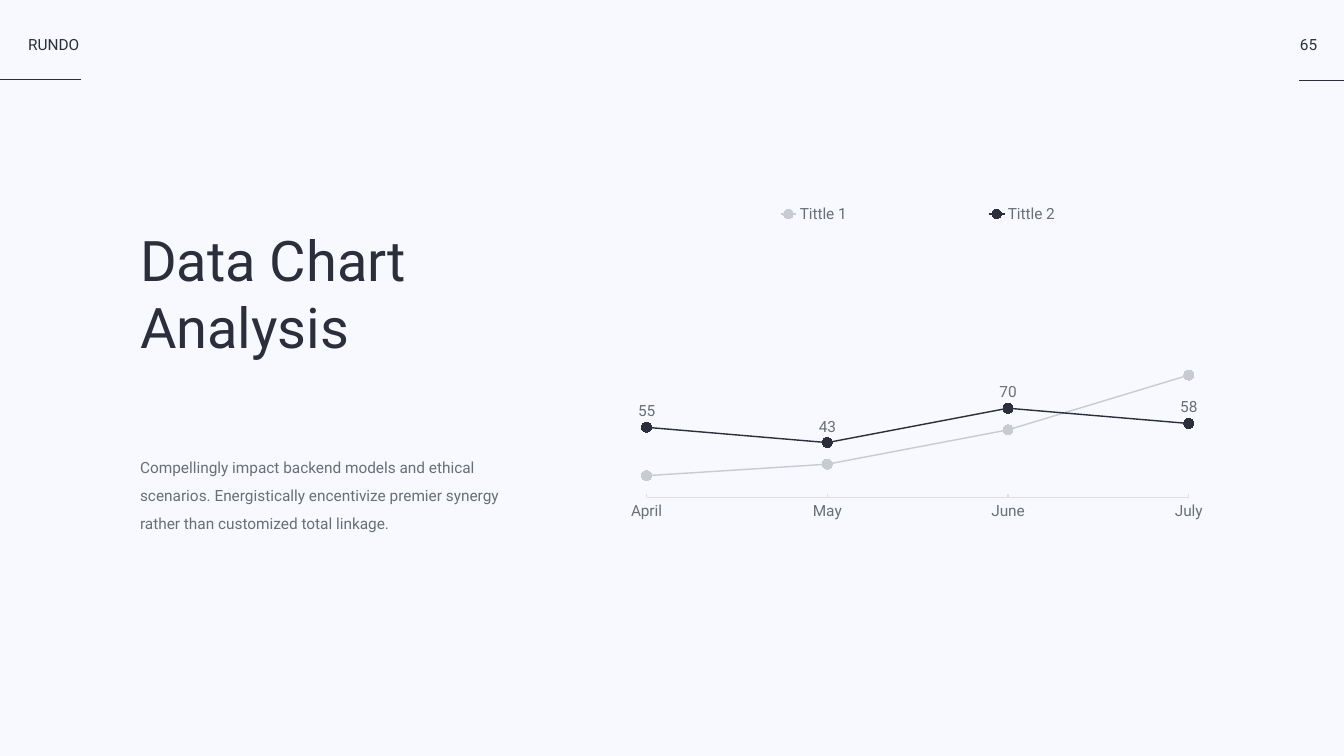
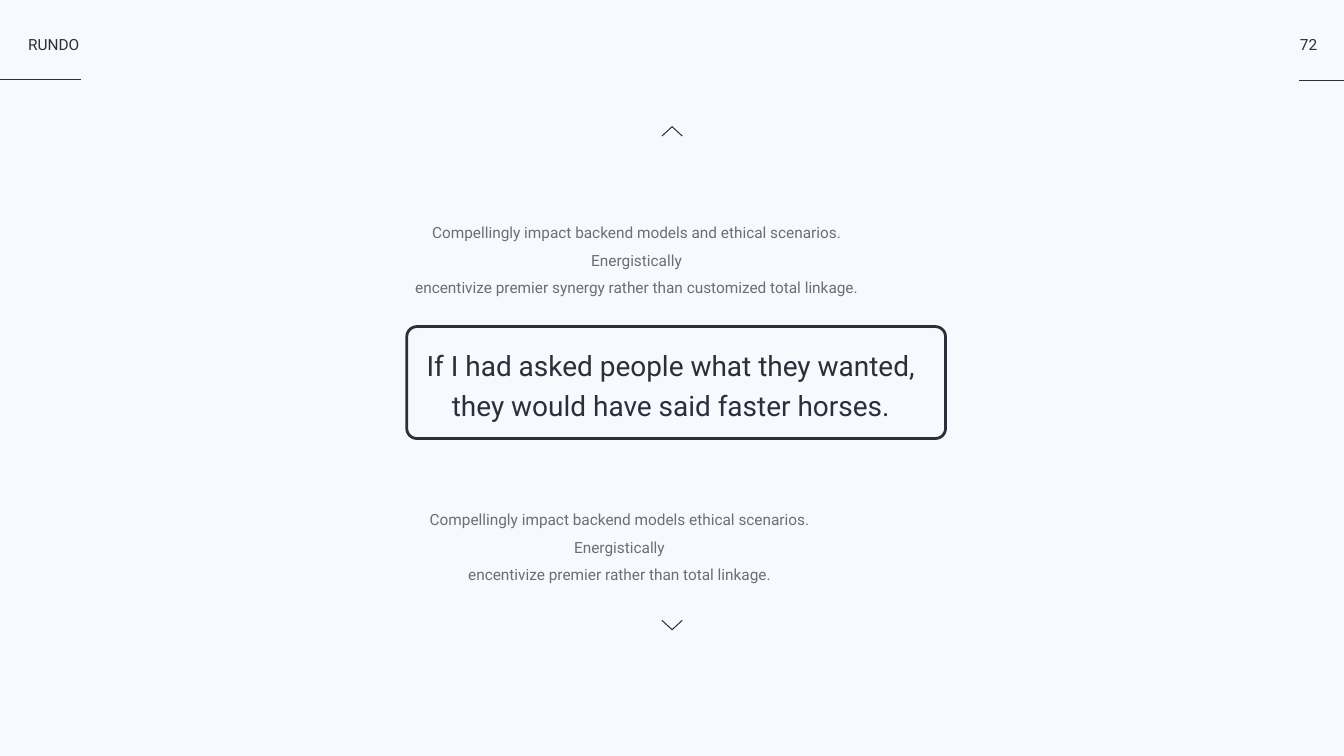
"""Build a line chart slide and a quote slide with a shared header."""
from lxml import etree
from pptx import Presentation
from pptx.chart.data import CategoryChartData
from pptx.dml.color import RGBColor
from pptx.enum.chart import XL_CHART_TYPE as ChartType
from pptx.enum.chart import XL_LABEL_POSITION as LabelPos
from pptx.enum.chart import XL_LEGEND_POSITION as LegendPos
from pptx.enum.chart import XL_MARKER_STYLE as Marker
from pptx.enum.chart import XL_TICK_LABEL_POSITION as TickLabels
from pptx.enum.chart import XL_TICK_MARK as TickMark
from pptx.enum.shapes import MSO_CONNECTOR, MSO_SHAPE
from pptx.enum.text import MSO_AUTO_SIZE, PP_ALIGN
from pptx.oxml.ns import qn
from pptx.util import Cm, Pt

PAPER = RGBColor(0xF7, 0xF9, 0xFF)
INK = RGBColor(0x2C, 0x2E, 0x3C)
GREY = RGBColor(0x6A, 0x6E, 0x77)
PALE = RGBColor(0xC8, 0xCB, 0xD1)
AXIS = RGBColor(0xDC, 0xDE, 0xE0)
FONT = "Roboto"
BODY_SIZE = 22


def set_font(font, size, color):
    font.name = FONT
    font.size = Pt(size)
    font.color.rgb = color


def add_text(slide, box, lines, size=BODY_SIZE, color=INK, align=PP_ALIGN.LEFT,
             spacing=None, wrap=False):
    frame = slide.shapes.add_textbox(*map(Cm, box)).text_frame
    frame.margin_left = frame.margin_top = frame.margin_right = frame.margin_bottom = 0
    frame.word_wrap = wrap
    frame.auto_size = MSO_AUTO_SIZE.SHAPE_TO_FIT_TEXT
    frame.text = "\n".join(lines)
    for paragraph in frame.paragraphs:
        paragraph.alignment = align
        paragraph.line_spacing = spacing
        set_font(paragraph.font, size, color)


prs = Presentation()
prs.slide_width, prs.slide_height = Cm(67.73), Cm(38.1)
backdrop = prs.slide_master.background.fill
backdrop.solid()
backdrop.fore_color.rgb = PAPER

for page in ("65", "72"):
    slide = prs.slides.add_slide(prs.slide_layouts[6])
    for start, end, y in ((0, 4.09, 4.01), (65.48, 67.73, 4.06)):
        rule = slide.shapes.add_connector(MSO_CONNECTOR.STRAIGHT, Cm(start), Cm(y), Cm(end), Cm(y))
        rule.line.color.rgb = INK
        rule.line.width = Pt(2)
        etree.SubElement(rule._element.spPr, qn("a:effectLst"))
    add_text(slide, (1.42, 1.75, 2.67, 1.02), ["RUNDO"])
    add_text(slide, (65.49, 1.75, 0.91, 1.02), [page], align=PP_ALIGN.CENTER)
chart_slide, quote_slide = prs.slides

add_text(chart_slide, (7.06, 11.38, 14.3, 7.47), ["Data Chart", "Analysis"], 80)
add_text(chart_slide, (7.06, 22.63, 18.14, 4.09), [
    "Compellingly impact backend models and ethical",
    "scenarios. Energistically encentivize premier synergy",
    "rather than customized total linkage.",
], color=GREY, spacing=1.5)

months = CategoryChartData()
months.categories = ["April", "May", "June", "July"]
months.add_series("Tittle 1", (17, 26, 53, 96))
months.add_series("Tittle 2", (55, 43, 70, 58))
chart = chart_slide.shapes.add_chart(
    ChartType.LINE_MARKERS, Cm(31.8), Cm(10.08), Cm(28.83), Cm(16.84), months).chart
chart.has_title = False
set_font(chart.font, BODY_SIZE, GREY)
chart.plots[0].vary_by_categories = False
for series, color in zip(chart.plots[0].series, (PALE, INK)):
    series.smooth = False
    series.format.line.color.rgb = color
    series.format.line.width = Pt(2)
    series.marker.style = Marker.CIRCLE
    series.marker.size = 14
    series.marker.format.fill.solid()
    series.marker.format.fill.fore_color.rgb = color
    series.marker.format.line.fill.background()

labels = chart.plots[0].series[1].data_labels
labels.show_value = True
labels.position = LabelPos.ABOVE
set_font(labels.font, BODY_SIZE, GREY)

month_axis = chart.category_axis
month_axis.tick_label_position = TickLabels.LOW
month_axis.major_tick_mark = TickMark.INSIDE
month_axis.minor_tick_mark = TickMark.NONE
month_axis.format.line.color.rgb = AXIS
month_axis.format.line.width = Pt(2)
set_font(month_axis.tick_labels.font, BODY_SIZE, GREY)

value_axis = chart.value_axis
value_axis.minimum_scale, value_axis.maximum_scale, value_axis.major_unit = 0, 200, 100
value_axis.has_major_gridlines = False
value_axis.tick_label_position = TickLabels.NONE
value_axis.major_tick_mark = value_axis.minor_tick_mark = TickMark.NONE
value_axis.format.line.fill.background()
for crossing in value_axis._element.findall(qn("c:crossBetween")):
    value_axis._element.remove(crossing)
on_ticks = etree.Element(qn("c:crossBetween"), val="midCat")
value_axis._element.find(qn("c:crosses")).addnext(on_ticks)

chart.has_legend = True
chart.legend.position = LegendPos.TOP
chart.legend.include_in_layout = True
set_font(chart.legend.font, BODY_SIZE, GREY)

plot_area = chart._chartSpace.chart.plotArea
legend = chart.legend._element
for part, index, frame in ((plot_area, 0, (0.027, 0.128, 0.948, 0.762)),
                           (legend, 1, (0.022, 0, 0.958, 0.084))):
    for old_layout in part.findall(qn("c:layout")):
        part.remove(old_layout)
    layout = etree.Element(qn("c:layout"))
    manual = etree.SubElement(layout, qn("c:manualLayout"))
    if part is plot_area:
        etree.SubElement(manual, qn("c:layoutTarget"), val="inner")
    for tag in ("xMode", "yMode"):
        etree.SubElement(manual, qn(f"c:{tag}"), val="edge")
    for tag, share in zip("xywh", frame):
        etree.SubElement(manual, qn(f"c:{tag}"), val=str(share))
    part.insert(index, layout)

add_text(quote_slide, (21.43, 17.22, 24.74, 4.11), [
    "If I had asked people what they wanted,",
    "they would have said faster horses.",
], 40, align=PP_ALIGN.CENTER, spacing=1.2)
quote_frame = quote_slide.shapes.add_shape(
    MSO_SHAPE.ROUNDED_RECTANGLE, Cm(20.5), Cm(16.46), Cm(27.15), Cm(5.64))
quote_frame.adjustments[0] = 0.09
quote_frame.shadow.inherit = False
quote_frame.fill.background()
quote_frame.line.color.rgb = INK
quote_frame.line.width = Pt(4)

for box, lines in (
    ((20.87, 10.77, 22.42, 2.57), [
        "Compellingly impact backend models and ethical scenarios. Energistically",
        "encentivize premier synergy rather than customized total linkage."]),
    ((21.6, 25.24, 19.24, 2.57), [
        "Compellingly impact backend models ethical scenarios. Energistically",
        "encentivize premier rather than total linkage."]),
):
    add_text(quote_slide, box, lines, color=GREY, align=PP_ALIGN.CENTER, spacing=1.5, wrap=True)

CHEVRON = ((-0.5, 0), (0, 0.46), (0.5, 0), (0.53, 0.04), (0, 0.53), (-0.53, 0.04))
for base, direction in ((31.24, 1), (6.88, -1)):
    points = [(Cm(33.87 + x), Cm(base + direction * y)) for x, y in CHEVRON]
    outline = quote_slide.shapes.build_freeform(*points[0])
    outline.add_line_segments(points[1:], close=True)
    chevron = outline.convert_to_shape()
    chevron.shadow.inherit = False
    chevron.fill.solid()
    chevron.fill.fore_color.rgb = INK
    chevron.line.fill.background()

prs.save("out.pptx")
